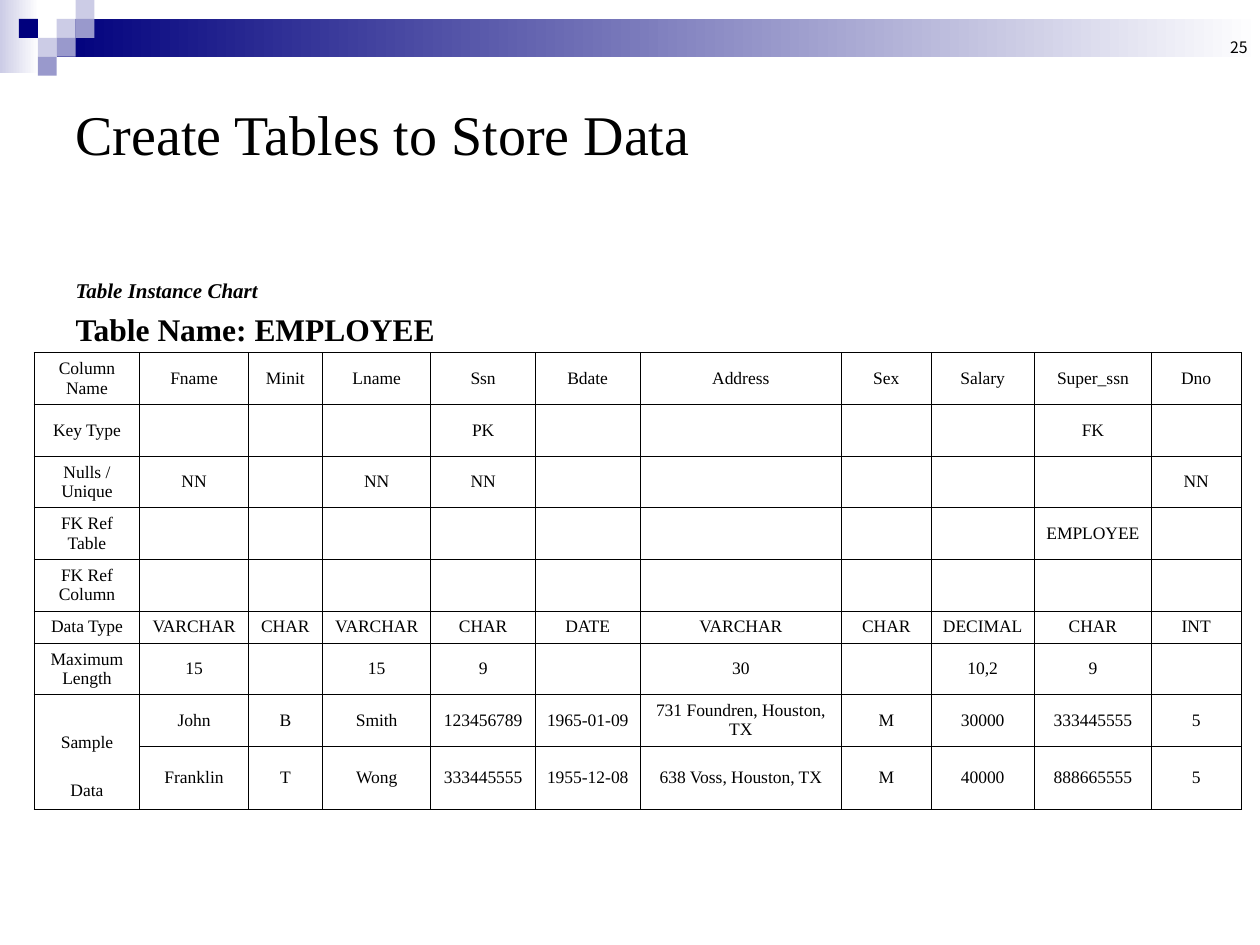
from collections import namedtuple

from lxml.etree import SubElement
from pptx import Presentation
from pptx.dml.color import RGBColor
from pptx.enum.shapes import MSO_SHAPE as Preset
from pptx.enum.text import MSO_ANCHOR as Anchor, MSO_AUTO_SIZE as AutoSize, PP_ALIGN as Align
from pptx.oxml.ns import qn
from pptx.util import Inches, Pt

CELL = 0.1
SERIF = "Times New Roman"
NAVY, LILAC, VIOLET, WHITE, BLACK = "00007D", "CCCCE6", "9999CC", "FFFFFF", "000000"

Box = namedtuple("Box", "left top width height")

SQUARE = 1.5
SQUARES = [(3, 1, LILAC), (4, 0, LILAC), (4, 1, VIOLET), (2, 2, LILAC),
           (1, 1, NAVY), (3, 2, VIOLET), (2, 3, VIOLET)]

COLUMN_WIDTHS = [8.4, 8.6, 5.9, 8.6, 8.3, 8.3, 16, 7.1, 8.2, 9.3, 7.1]
ROW_HEIGHTS = [4.1, 4.1, 4.1, 4.1, 4.1, 2.5, 4.1, 4.1, 5]
EMPLOYEE_ROWS = [
    ["Column\nName", "Fname", "Minit", "Lname", "Ssn", "Bdate", "Address", "Sex", "Salary",
     "Super_ssn", "Dno"],
    ["Key Type", "", "", "", "PK", "", "", "", "", "FK", ""],
    ["Nulls / Unique", "NN", "", "NN", "NN", "", "", "", "", "", "NN"],
    ["FK Ref Table", "", "", "", "", "", "", "", "", "EMPLOYEE", ""],
    ["FK Ref Column", "", "", "", "", "", "", "", "", "", ""],
    ["Data Type", "VARCHAR", "CHAR", "VARCHAR", "CHAR", "DATE", "VARCHAR", "CHAR", "DECIMAL",
     "CHAR", "INT"],
    ["Maximum Length", "15", "", "15", "9", "", "30", "", "10,2", "9", ""],
    ["Sample Data", "John", "B", "Smith", "123456789", "1965-01-09",
     "731 Foundren, Houston, TX", "M", "30000", "333445555", "5"],
    ["", "Franklin", "T", "Wong", "333445555", "1955-12-08",
     "638 Voss, Houston, TX", "M", "40000", "888665555", "5"],
]


def grid(cells):
    """Turn a count of grid cells into a length."""
    return Inches(cells * CELL)


def colour(value):
    """Turn a hex string into a colour."""
    return RGBColor.from_string(value)


def place(shape, box):
    """Move a shape to a box given in grid cells."""
    shape.left, shape.top, shape.width, shape.height = map(grid, box)


def write_text(paragraph, text, size, font=SERIF, bold=False, italic=False,
               align=Align.LEFT, before=None, spacing=None):
    """Fill a paragraph with one formatted run."""
    paragraph.alignment = align
    if before is not None:
        paragraph.space_before = Pt(before)
    if spacing is not None:
        paragraph.line_spacing = spacing
    run = paragraph.add_run()
    run.text = text
    run.font.name, run.font.size = font, Pt(size)
    run.font.bold, run.font.italic = bold, italic
    run.font.color.rgb = colour(BLACK)


def prepare_frame(frame, anchor):
    """Give a text frame wrapping, a fixed size and an anchor."""
    frame.word_wrap = True
    frame.auto_size = AutoSize.NONE
    frame.vertical_anchor = anchor


def add_block(slide, box, start, end=None):
    """Draw a borderless rectangle with a plain or left-to-right gradient fill."""
    shape = slide.shapes.add_shape(Preset.RECTANGLE, *map(grid, box))
    shape.shadow.inherit = False
    shape.line.fill.background()
    if end is None:
        shape.fill.solid()
        shape.fill.fore_color.rgb = colour(start)
        return
    shape.fill.gradient()
    shape.fill.gradient_angle = 0
    for stop, position, value in zip(shape.fill.gradient_stops, (0, 1), (start, end)):
        stop.position = position
        stop.color.rgb = colour(value)


def add_header(slide, box):
    """Draw the gradient band and the mosaic of squares along the top."""
    add_block(slide, Box(box.left, box.top, 3.1, 5.8), LILAC, WHITE)
    band_left = 3 * SQUARE
    add_block(slide, Box(box.left + band_left, box.top + SQUARE, box.width - band_left,
                         2 * SQUARE), NAVY, WHITE)
    for column, row, fill in SQUARES:
        add_block(slide, Box(box.left + column * SQUARE, box.top + row * SQUARE,
                             SQUARE, SQUARE), fill)


def add_page_number(slide, box, number):
    """Write the page number at the right end of the band."""
    frame = slide.shapes.add_textbox(*map(grid, box)).text_frame
    prepare_frame(frame, Anchor.BOTTOM)
    write_text(frame.paragraphs[0], number, 9, font="Noto Sans CJK KR", align=Align.RIGHT)


def fill_title(slide, box, text):
    """Write the slide title in its placeholder."""
    title = slide.shapes.title
    place(title, box)
    prepare_frame(title.text_frame, Anchor.MIDDLE)
    write_text(title.text_frame.paragraphs[0], text, 32)


def fill_caption(slide, box):
    """Write the two lines above the table in the body placeholder."""
    body = slide.placeholders[1]
    place(body, box)
    frame = body.text_frame
    prepare_frame(frame, Anchor.TOP)
    write_text(frame.paragraphs[0], "Table Instance Chart", 12, bold=True, italic=True, before=0)
    write_text(frame.add_paragraph(), "Table Name: EMPLOYEE", 18, bold=True, before=4.5)
    for paragraph in frame.paragraphs:
        properties = paragraph._p.get_or_add_pPr()
        properties.set("marL", "0")
        properties.set("indent", "0")
        SubElement(properties, qn("a:buNone"))


def outline_cell(cell):
    """Clear the fill of a cell and draw its four borders."""
    properties = cell._tc.get_or_add_tcPr()
    for side in ("lnL", "lnR", "lnT", "lnB"):
        line = SubElement(properties, qn(f"a:{side}"), w=str(Pt(0.45)))
        fill = SubElement(line, qn("a:solidFill"))
        SubElement(fill, qn("a:srgbClr"), val=BLACK)
    cell.fill.background()


def fill_cell(cell, text, spacing=None):
    """Format a cell and write its lines as centred paragraphs."""
    outline_cell(cell)
    cell.vertical_anchor = Anchor.MIDDLE
    cell.margin_left = cell.margin_right = Inches(0.07)
    cell.margin_top = cell.margin_bottom = Inches(0.05)
    frame = cell.text_frame
    for index, line in enumerate(text.split("\n") if text else []):
        paragraph = frame.add_paragraph() if index else frame.paragraphs[0]
        write_text(paragraph, line, 10, align=Align.CENTER, spacing=spacing)


def add_employee_table(slide, left, top):
    """Build the table instance chart from its rows."""
    box = Box(left, top, sum(COLUMN_WIDTHS), sum(ROW_HEIGHTS))
    table = slide.shapes.add_table(len(ROW_HEIGHTS), len(COLUMN_WIDTHS), *map(grid, box)).table
    table.first_row = table.horz_banding = False
    for column, width in zip(table.columns, COLUMN_WIDTHS):
        column.width = grid(width)
    for row, height, texts in zip(table.rows, ROW_HEIGHTS, EMPLOYEE_ROWS):
        row.height = grid(height)
        for cell, text in zip(row.cells, texts):
            fill_cell(cell, text, spacing=2.5 if text == "Sample Data" else None)
    last = len(ROW_HEIGHTS) - 1
    table.cell(last - 1, 0).merge(table.cell(last, 0))


def main():
    """Build the slide and save it."""
    presentation = Presentation()
    presentation.slide_width, presentation.slide_height = grid(100), grid(75)
    slide = presentation.slides.add_slide(presentation.slide_layouts[1])
    add_header(slide, Box(0, 0, 100, 6))
    add_page_number(slide, Box(76.7, 0, 23.3, 5), "25")
    fill_title(slide, Box(5, 5, 90, 11.2), "Create Tables to Store Data")
    fill_caption(slide, Box(5, 21.5, 66.9, 6.6))
    add_employee_table(slide, 2.7, 28)
    presentation.save("out.pptx")


if __name__ == "__main__":
    main()
